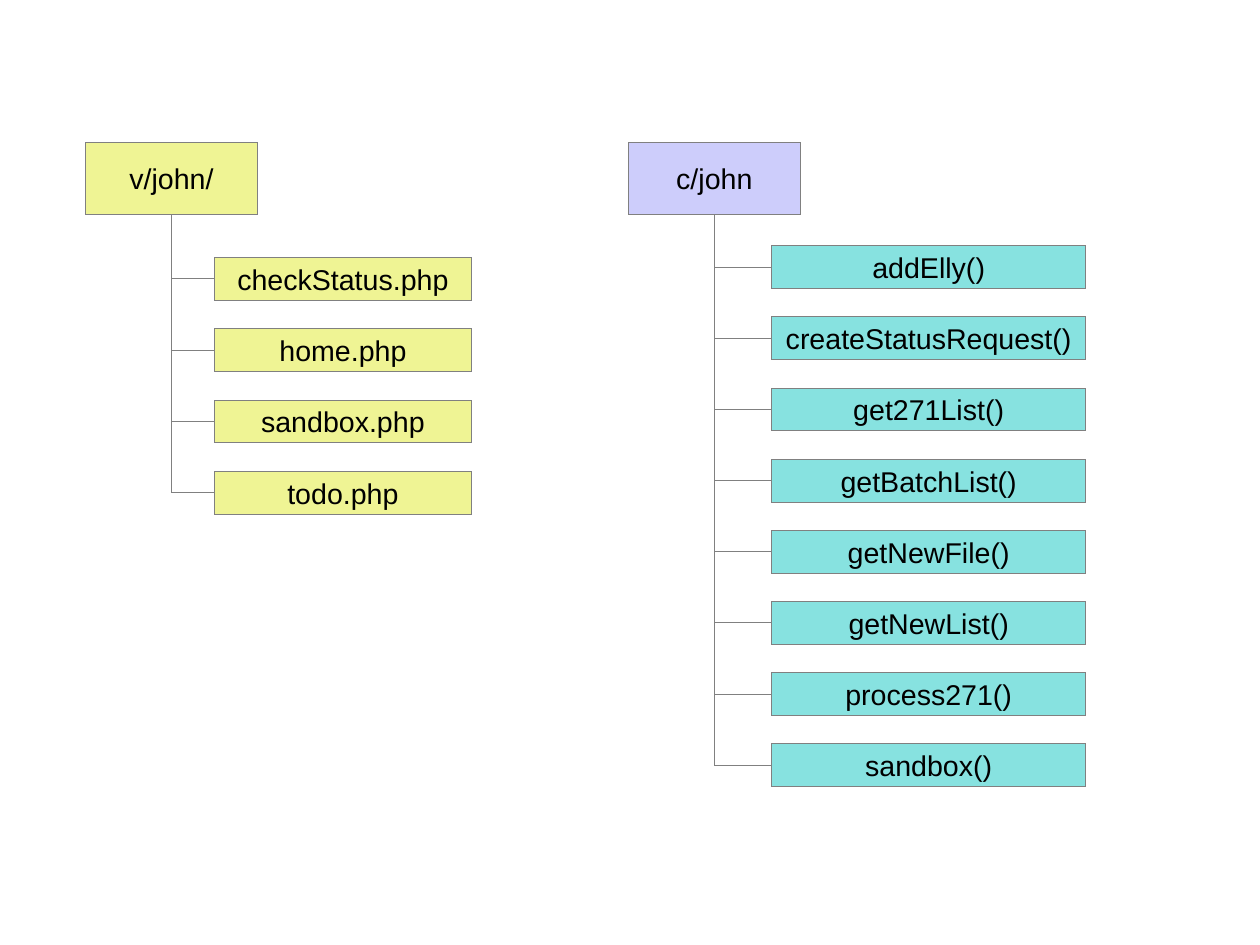
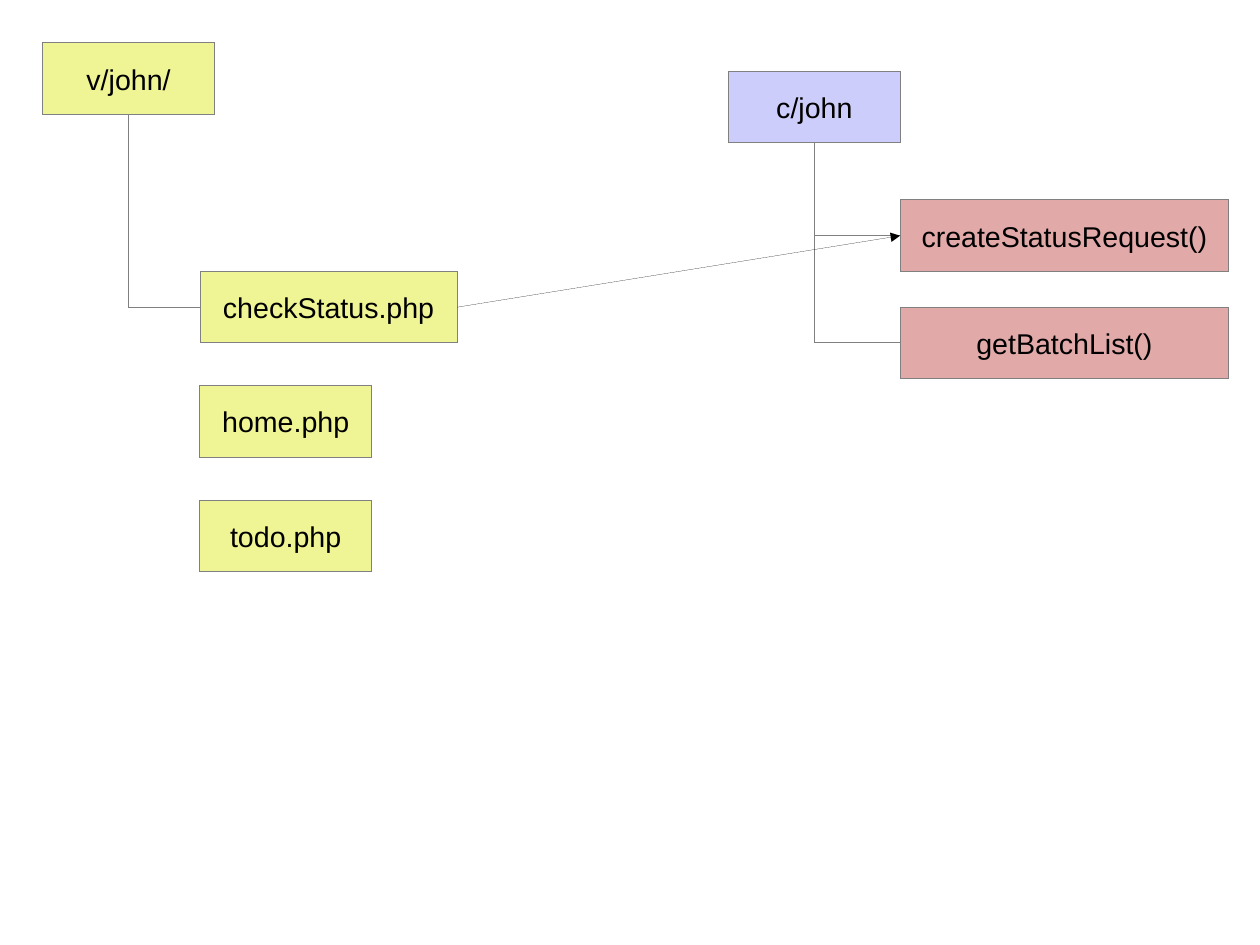
from dataclasses import dataclass

from lxml import etree
from pptx import Presentation
from pptx import util as u
from pptx.dml.color import RGBColor
from pptx.enum import shapes, text
from pptx.oxml import ns

UNIT = 0.125
FONT = "Arial"
COLORS = {
    "view": "EFF494",
    "controller": "CDCDFB",
    "method": "87E2E0",
    "called": "E2A9A9",
    "outline": "808080",
    "ink": "000000",
}


@dataclass(frozen=True)
class Box:
    label: str
    col: float
    row: float
    cols: float
    rows: float
    fill: str


@dataclass(frozen=True)
class Tree:
    root: Box
    linked: list[Box]
    loose: list[Box]


def grid(n: float) -> int:
    return u.Inches(n * UNIT)


def rgb(name: str) -> RGBColor:
    return RGBColor.from_string(COLORS[name])


def view_root(col: float, row: float) -> Box:
    return Box("v/john/", col, row, 12, 5, "view")


def controller_root(col: float, row: float) -> Box:
    return Box("c/john", col, row, 12, 5, "controller")


def stack(labels: list[str], col: float, row: float, cols: float, rows: float,
          pitch: float, fill: str) -> list[Box]:
    return [Box(label, col, row + i * pitch, cols, rows, fill)
            for i, label in enumerate(labels)]


def set_hairline(sp, color: str) -> None:
    style = sp._element.find(ns.qn("p:style"))
    sp._element.remove(style)
    sp.line.color.rgb = rgb(color)
    sp.line.width = u.Pt(0)


def draw_box(s, box: Box):
    sp = s.shapes.add_shape(shapes.MSO_SHAPE.RECTANGLE, grid(box.col), grid(box.row),
                            grid(box.cols), grid(box.rows))
    sp.shadow.inherit = False
    sp.fill.solid()
    sp.fill.fore_color.rgb = rgb(box.fill)
    set_hairline(sp, "outline")
    tf = sp.text_frame
    tf.word_wrap = True
    tf.vertical_anchor = text.MSO_ANCHOR.MIDDLE
    p = tf.paragraphs[0]
    p.alignment = text.PP_ALIGN.CENTER
    r = p.add_run()
    r.text = box.label
    r.font.name = FONT
    r.font.size = u.Pt(18)
    r.font.color.rgb = rgb("ink")
    return sp


def join(s, kind, start, start_site: int, end, end_site: int, color: str):
    c = s.shapes.add_connector(kind, 0, 0, 0, 0)
    c.begin_connect(start, start_site)
    c.end_connect(end, end_site)
    set_hairline(c, color)
    etree.SubElement(c._element.spPr, ns.qn("a:effectLst"))
    return c


def draw_branch(s, parent, child) -> None:
    c = join(s, shapes.MSO_CONNECTOR.ELBOW, parent, 2, child, 1, "outline")
    x, y = c.begin_x, c.begin_y
    across, down = c.end_x - x, c.end_y - y
    c.left, c.top = x + (across - down) // 2, y + (down - across) // 2
    c.width, c.height = down, across
    spPr = c._element.spPr
    xfrm = spPr.find(ns.qn("a:xfrm"))
    xfrm.set("rot", "16200000")
    xfrm.set("flipH", "1")
    spPr.find(ns.qn("a:prstGeom")).set("prst", "bentConnector2")


def draw_call(s, caller, method) -> None:
    c = join(s, shapes.MSO_CONNECTOR.STRAIGHT, caller, 3, method, 1, "ink")
    ln = c._element.spPr.find(ns.qn("a:ln"))
    etree.SubElement(ln, ns.qn("a:tailEnd"), type="triangle")


def draw_tree(s, tree: Tree) -> list:
    root = draw_box(s, tree.root)
    children = [draw_box(s, box) for box in tree.linked]
    for child in children:
        draw_branch(s, root, child)
    for box in tree.loose:
        draw_box(s, box)
    return children


OVERVIEW = [
    Tree(view_root(6, 10),
         stack(["checkStatus.php", "home.php", "sandbox.php", "todo.php"],
               15, 18, 18, 3, 5, "view"), []),
    Tree(controller_root(44, 10),
         stack(["addElly()", "createStatusRequest()", "get271List()", "getBatchList()",
                "getNewFile()", "getNewList()", "process271()", "sandbox()"],
               54, 17.2, 22, 3, 4.98, "method"), []),
]
CALLS = [
    Tree(view_root(3, 3),
         [Box("checkStatus.php", 14, 19, 18, 5, "view")],
         stack(["home.php", "todo.php"], 14, 27, 12, 5, 8, "view")),
    Tree(controller_root(51, 5),
         stack(["createStatusRequest()", "getBatchList()"], 63, 14, 23, 5, 7.5, "called"), []),
]


def main() -> None:
    prs = Presentation()
    prs.slide_width, prs.slide_height = u.Cm(28), u.Cm(21)
    prs.element.sldSz.attrib.pop("type", None)
    blank = prs.slide_layouts[6]

    s = prs.slides.add_slide(blank)
    for tree in OVERVIEW:
        draw_tree(s, tree)

    s = prs.slides.add_slide(blank)
    views, methods = [draw_tree(s, tree) for tree in CALLS]
    draw_call(s, views[0], methods[0])

    prs.save("out.pptx")


if __name__ == "__main__":
    main()
